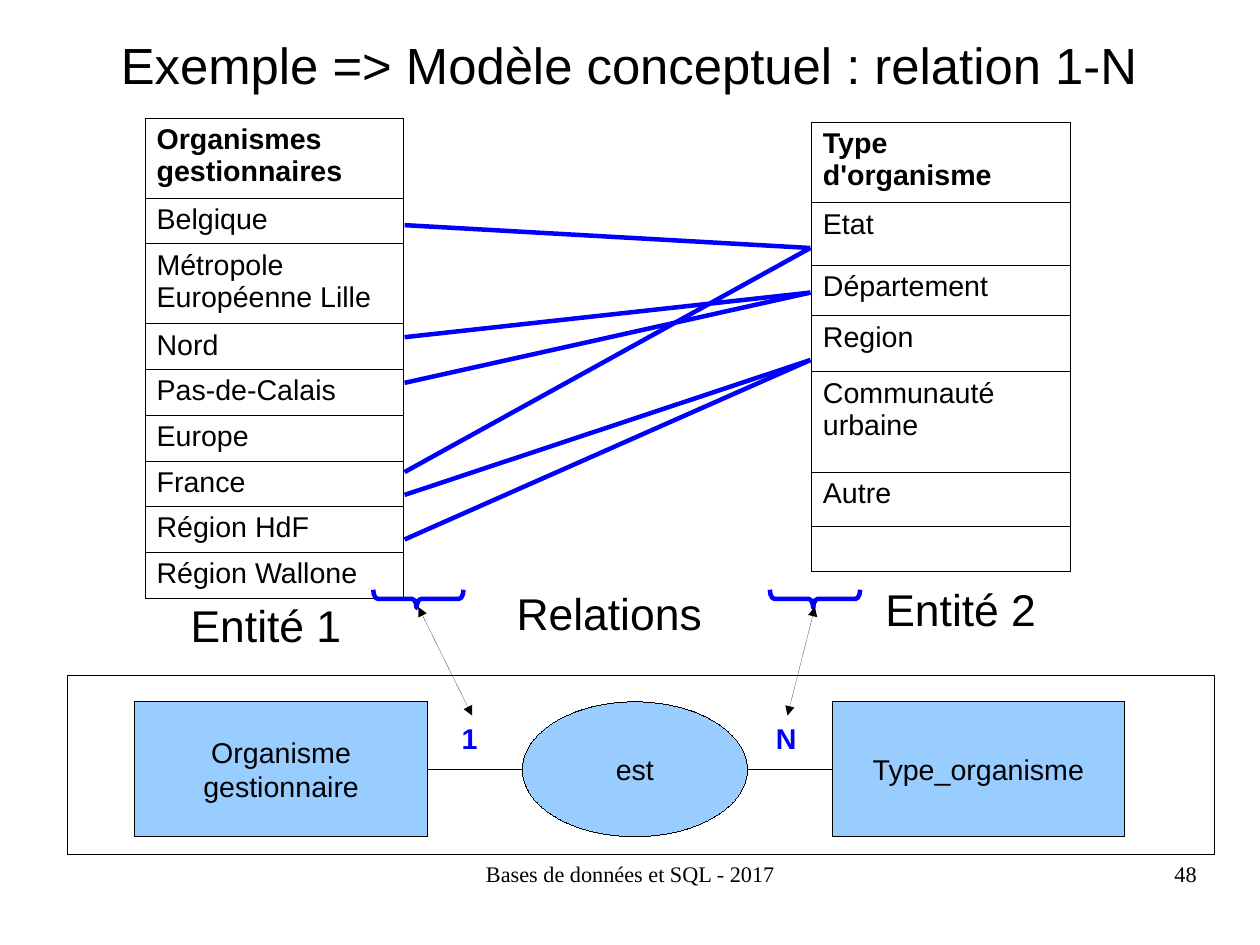
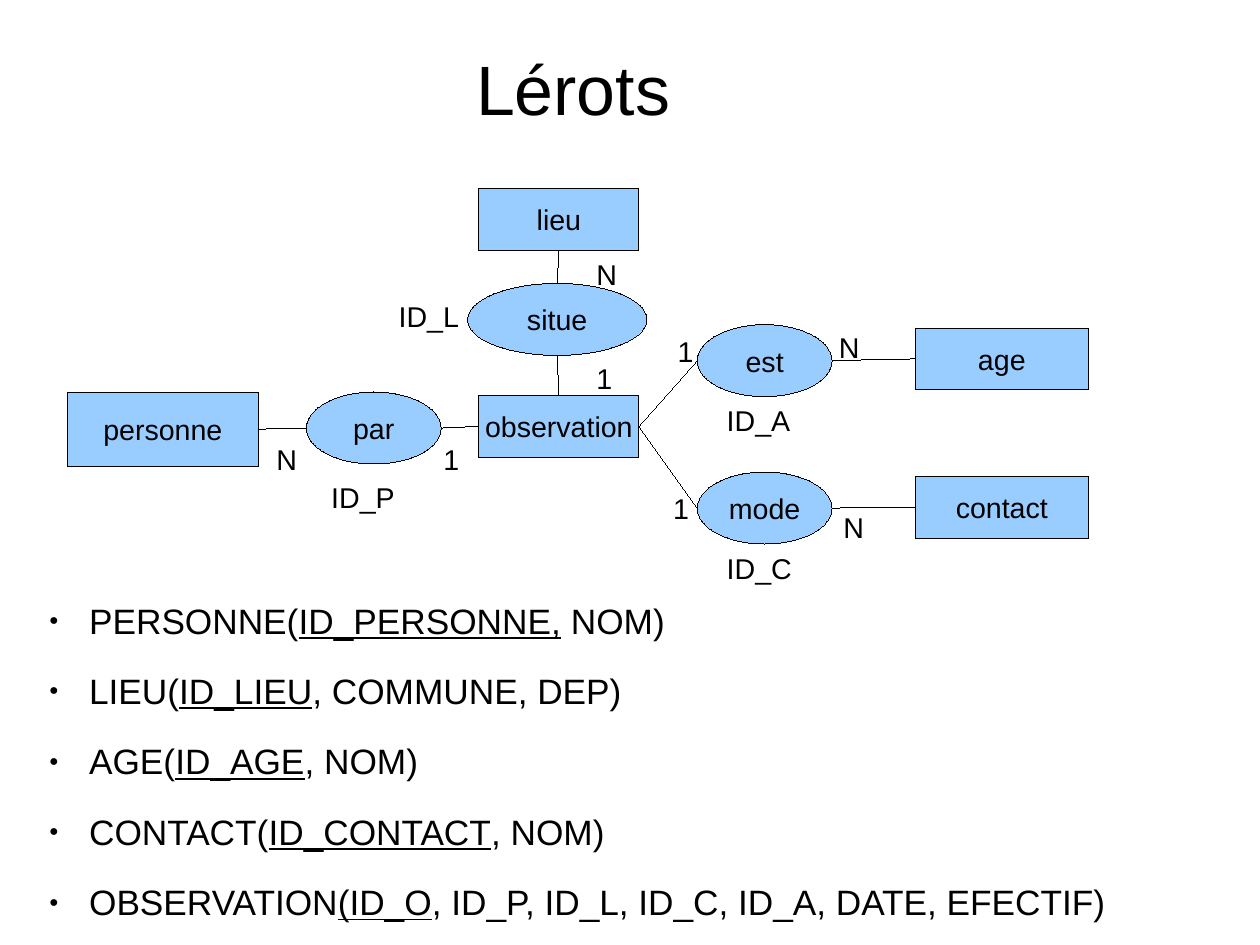
from lxml.etree import SubElement
from pptx import Presentation
from pptx.dml.color import RGBColor
from pptx.enum.shapes import MSO_CONNECTOR, MSO_SHAPE
from pptx.enum.text import MSO_ANCHOR, MSO_AUTO_SIZE, PP_ALIGN
from pptx.oxml.ns import qn
from pptx.util import Inches, Pt

BLACK, BLUE, SKY = "000000", "0000FF", "99CCFF"
HAIRLINE = 0.01
TOP, LEFT, BOTTOM, RIGHT = range(4)
SIDES = {TOP: (0.5, 0), LEFT: (0, 0.5), BOTTOM: (0.5, 1), RIGHT: (1, 0.5)}
BARE_FRAME = {"margin_left": 0, "margin_top": 0, "margin_right": 0, "margin_bottom": 0,
              "word_wrap": True, "auto_size": MSO_AUTO_SIZE.NONE}
BULLET = (
    ("a:buClr", {}),
    ("a:buSzPct", {"val": "45000"}),
    ("a:buChar", {"char": "●"}),
)


def color(code):
    """Turn a hex string into a colour."""
    return RGBColor.from_string(code)


def apply(target, formats):
    """Set each attribute of the target from a dict of values."""
    for name, value in formats.items():
        setattr(target, name, value)


def place(shape, *box):
    """Move a shape to a box given in inches."""
    apply(shape, dict(zip(("left", "top", "width", "height"), map(Inches, box))))


def style_font(font, size=18, tint=BLACK, **formats):
    """Give a font its face, size, colour and other formats."""
    apply(font, {"name": "Arial", "size": Pt(size), **formats})
    font.color.rgb = color(tint)


def write(frame, text, align=PP_ALIGN.LEFT, **font_formats):
    """Fill a text frame, one paragraph for each line."""
    frame.text = text
    for paragraph in frame.paragraphs:
        paragraph.alignment = align
        paragraph.space_before = Pt(0)
        style_font(paragraph.font, **font_formats)


def add_label(shapes, text, box, align=PP_ALIGN.LEFT, frame_formats=None, **font_formats):
    """Add a text box."""
    frame = shapes.add_textbox(*map(Inches, box)).text_frame
    apply(frame, frame_formats or {"word_wrap": True})
    write(frame, text, align, **font_formats)


def add_title(slide, text, box, size):
    """Write and place the slide title."""
    title = slide.shapes.title
    place(title, *box)
    apply(title.text_frame, {**BARE_FRAME, "vertical_anchor": MSO_ANCHOR.MIDDLE})
    write(title.text_frame, text, PP_ALIGN.CENTER, size=size)


def add_outline(shapes, kind, box, tint=BLACK, weight=HAIRLINE):
    """Add an unfilled preset shape."""
    outline = shapes.add_shape(kind, *map(Inches, box))
    outline.shadow.inherit = False
    outline.fill.background()
    outline.line.color.rgb = color(tint)
    outline.line.width = Pt(weight)
    return outline


def add_node(shapes, kind, text, box):
    """Add an entity or a relation with its name."""
    node = add_outline(shapes, kind, box)
    node.fill.solid()
    node.fill.fore_color.rgb = color(SKY)
    apply(node.text_frame, {"word_wrap": False, "vertical_anchor": MSO_ANCHOR.MIDDLE})
    write(node.text_frame, text, PP_ALIGN.CENTER)
    return node


def add_line(shapes, start, end, tint=BLACK, weight=HAIRLINE, arrows=False):
    """Add a straight line, with arrowheads at both ends if asked."""
    line = shapes.add_connector(MSO_CONNECTOR.STRAIGHT, *map(Inches, (*start, *end)))
    line.line.color.rgb = color(tint)
    line.line.width = Pt(weight)
    properties = line.element.find(qn("p:spPr"))
    if arrows:
        for tip in ("a:headEnd", "a:tailEnd"):
            SubElement(properties.find(qn("a:ln")), qn(tip), type="triangle")
    SubElement(properties, qn("a:effectLst"))
    return line


def side_point(node, side):
    """Return the middle of a side of a node, in inches."""
    across, down = SIDES[side]
    return ((node.left + node.width * across) / Inches(1),
            (node.top + node.height * down) / Inches(1))


def link(shapes, entity, entity_side, relation, relation_side):
    """Join an entity to a relation."""
    line = add_line(shapes, side_point(entity, entity_side), side_point(relation, relation_side))
    line.begin_connect(entity, entity_side)


def add_entity_table(shapes, left, top, width, rows):
    """Add a one-column table whose first row is the heading."""
    heights = [height for _, height in rows]
    table = shapes.add_table(len(rows), 1, *map(Inches, (left, top, width, sum(heights)))).table
    apply(table, {"first_row": False, "horz_banding": False})
    for index, (text, height) in enumerate(rows):
        table.rows[index].height = Inches(height)
        cell = table.cell(index, 0)
        write(cell.text_frame, text, bold=index == 0)
        properties = cell._tc.get_or_add_tcPr()
        for edge in ("a:lnL", "a:lnR", "a:lnT", "a:lnB"):
            border = SubElement(properties, qn(edge), w=str(Pt(0.06)))
            SubElement(SubElement(border, qn("a:solidFill")), qn("a:srgbClr"), val=BLACK)
        cell.fill.background()


def add_relation_lines(shapes, left, top, width):
    """Draw the lines that pair the rows of the two tables."""
    for start, end in ((0.98, 0.59), (1.38, 0.59), (0, 0.2), (2.16, 0.2), (2.75, 1.18), (2.36, 1.18)):
        add_line(shapes, (left, top + start), (left + width, top + end), BLUE, 2.83)


def add_brace(shapes, center, top, shift):
    """Draw a brace pointing down and the arrow from its tip."""
    depth, span = 0.16, 0.79
    box = (center - depth / 2, top + (depth - span) / 2, depth, span)
    brace = add_outline(shapes, MSO_SHAPE.RIGHT_BRACE, box, BLUE, 2.83)
    brace.rotation = 90
    brace.adjustments[0] = 0.25
    brace.adjustments[1] = 0.52
    add_line(shapes, (center, top + 0.15), (center + shift, top + 1.1), arrows=True)


def add_schema(shapes, left, top, width, height):
    """Draw the framed conceptual schema."""
    add_outline(shapes, MSO_SHAPE.RECTANGLE, (left, top, width, height))

    def node(kind, text, offset, node_width):
        """Add one node of the row."""
        return add_node(shapes, kind, text, (left + offset, top + 0.23, node_width, 1.18))

    organisme = node(MSO_SHAPE.RECTANGLE, "Organisme\ngestionnaire", 0.59, 2.56)
    type_organisme = node(MSO_SHAPE.RECTANGLE, "Type_organisme", 6.69, 2.56)
    est = node(MSO_SHAPE.OVAL, "est", 3.98, 1.97)
    link(shapes, organisme, RIGHT, est, LEFT)
    link(shapes, type_organisme, LEFT, est, RIGHT)
    for text, offset in (("1", 3.35), ("N", 6.1)):
        add_label(shapes, text, (left + offset, top + 0.35, 0.39, 0.38), tint=BLUE, bold=True)


def add_footer(shapes, text, number, top):
    """Add the footer and the slide number."""
    formats = {"frame_formats": BARE_FRAME, "size": 14, "name": "Times New Roman"}
    add_label(shapes, text, (3.77, top, 3.49, 0.57), PP_ALIGN.CENTER, **formats)
    add_label(shapes, number, (7.9, top, 2.57, 0.57), PP_ALIGN.RIGHT, **formats)


def add_observation_diagram(shapes, left, top):
    """Draw the entities and relations around an observation."""
    entities = {
        "personne": (0, 1.78, 1.67, 0.65),
        "observation": (3.6, 1.81, 1.4, 0.54),
        "lieu": (3.6, 0, 1.4, 0.54),
        "age": (7.42, 1.22, 1.51, 0.54),
        "contact": (7.42, 2.52, 1.51, 0.54),
    }
    relations = {
        "situe": (3.5, 0.83, 1.57, 0.63),
        "par": (2.09, 1.78, 1.18, 0.63),
        "est": (5.51, 1.19, 1.18, 0.63),
        "mode": (5.51, 2.48, 1.18, 0.63),
    }
    nodes = {}
    for kind, group in ((MSO_SHAPE.RECTANGLE, entities), (MSO_SHAPE.OVAL, relations)):
        for name, (x, y, *size) in group.items():
            nodes[name] = add_node(shapes, kind, name, (left + x, top + y, *size))
    for entity, entity_side, relation, relation_side in (
        ("personne", RIGHT, "par", LEFT),
        ("observation", LEFT, "par", RIGHT),
        ("lieu", BOTTOM, "situe", TOP),
        ("observation", TOP, "situe", BOTTOM),
        ("observation", RIGHT, "est", LEFT),
        ("observation", RIGHT, "mode", LEFT),
        ("age", LEFT, "est", RIGHT),
        ("contact", LEFT, "mode", RIGHT),
    ):
        link(shapes, nodes[entity], entity_side, nodes[relation], relation_side)
    for text, x, y, width in (
        ("N", 1.73, 2.17, 0.63), ("1", 3.19, 2.17, 0.63), ("ID_P", 2.21, 2.5, 0.94),
        ("N", 4.53, 0.55, 0.47), ("1", 4.53, 1.46, 0.31), ("ID_L", 2.8, 0.92, 0.83),
        ("1", 5.24, 1.22, 0.43), ("N", 6.65, 1.19, 0.51), ("ID_A", 5.67, 1.83, 0.98),
        ("1", 5.2, 2.6, 0.43), ("N", 6.69, 2.76, 0.51), ("ID_C", 5.67, 3.12, 0.98),
    ):
        add_label(shapes, text, (left + x, top + y, width, 0.38))


def add_relational_list(body, box, tables):
    """List the tables with their keys underlined."""
    place(body, *box)
    frame = body.text_frame
    apply(frame, BARE_FRAME)
    for index, parts in enumerate(tables):
        paragraph = frame.add_paragraph() if index else frame.paragraphs[0]
        properties = paragraph._p.get_or_add_pPr()
        properties.set("marL", str(Inches(0.47)))
        properties.set("indent", str(Inches(-0.35)))
        for tag, values in BULLET:
            bullet = SubElement(properties, qn(tag), values)
            if tag == "a:buClr":
                SubElement(bullet, qn("a:srgbClr"), val=BLACK)
        apply(paragraph, {"space_before": Pt(0), "space_after": Pt(17.7)})
        for position, text in enumerate(parts):
            run = paragraph.add_run()
            run.text = text
            style_font(run.font, 22.2, underline=position == 1)


def build_relation_slide(presentation):
    """Build the slide on the 1-N relation."""
    slide = presentation.slides.add_slide(presentation.slide_layouts[5])
    shapes = slide.shapes
    add_title(slide, "Exemple => Modèle conceptuel : relation 1-N", (0.55, 0.14, 9.92, 0.84), 32)
    add_entity_table(shapes, 1.27, 1.03, 2.26, (
        ("Organismes gestionnaires", 0.7), ("Belgique", 0.4),
        ("Métropole Européenne Lille", 0.7), ("Nord", 0.4), ("Pas-de-Calais", 0.4),
        ("Europe", 0.4), ("France", 0.4), ("Région HdF", 0.4), ("Région Wallone", 0.4),
    ))
    add_relation_lines(shapes, 3.54, 1.97, 3.55)
    add_label(shapes, "Entité 1", (1.57, 5.18, 1.57, 0.53), size=28)
    add_label(shapes, "Relations", (4.13, 5.08, 2.4, 0.53), PP_ALIGN.CENTER, size=28)
    add_label(shapes, "Entité 2", (7.36, 5.04, 2.09, 0.71), PP_ALIGN.CENTER, size=28)
    add_schema(shapes.add_group_shape().shapes, 0.59, 5.91, 10.04, 1.57)
    add_entity_table(shapes, 7.1, 1.07, 2.26, (
        ("Type d'organisme", 0.7), ("Etat", 0.55), ("Département", 0.44), ("Region", 0.49),
        ("Communauté urbaine", 0.88), ("Autre", 0.47), ("", 0.4),
    ))
    add_brace(shapes, 3.66, 5.16, 0.47)
    add_brace(shapes, 7.13, 5.16, -0.24)
    add_footer(shapes, "Bases de données et SQL - 2017", "48", 7.53)


def build_observation_slide(presentation):
    """Build the slide on the dormouse observations."""
    slide = presentation.slides.add_slide(presentation.slide_layouts[1])
    add_title(slide, "Lérots", (1.73, 0.43, 6.57, 0.68), 44)
    add_observation_diagram(slide.shapes, 0.59, 1.65)
    add_relational_list(slide.placeholders[1], (0.31, 5.24, 9.92, 2.76), (
        ("PERSONNE(", "ID_PERSONNE,", " NOM)"),
        ("LIEU(", "ID_LIEU", ", COMMUNE, DEP)"),
        ("AGE(", "ID_AGE", ", NOM)"),
        ("CONTACT(", "ID_CONTACT", ", NOM)"),
        ("OBSERVATION", "(ID_O", ", ID_P, ID_L, ID_C, ID_A, DATE, EFECTIF)"),
    ))


def main():
    """Build and save the presentation."""
    presentation = Presentation()
    apply(presentation, {"slide_width": Inches(28 / 2.54), "slide_height": Inches(21 / 2.54)})
    build_relation_slide(presentation)
    build_observation_slide(presentation)
    presentation.save("out.pptx")


if __name__ == "__main__":
    main()
